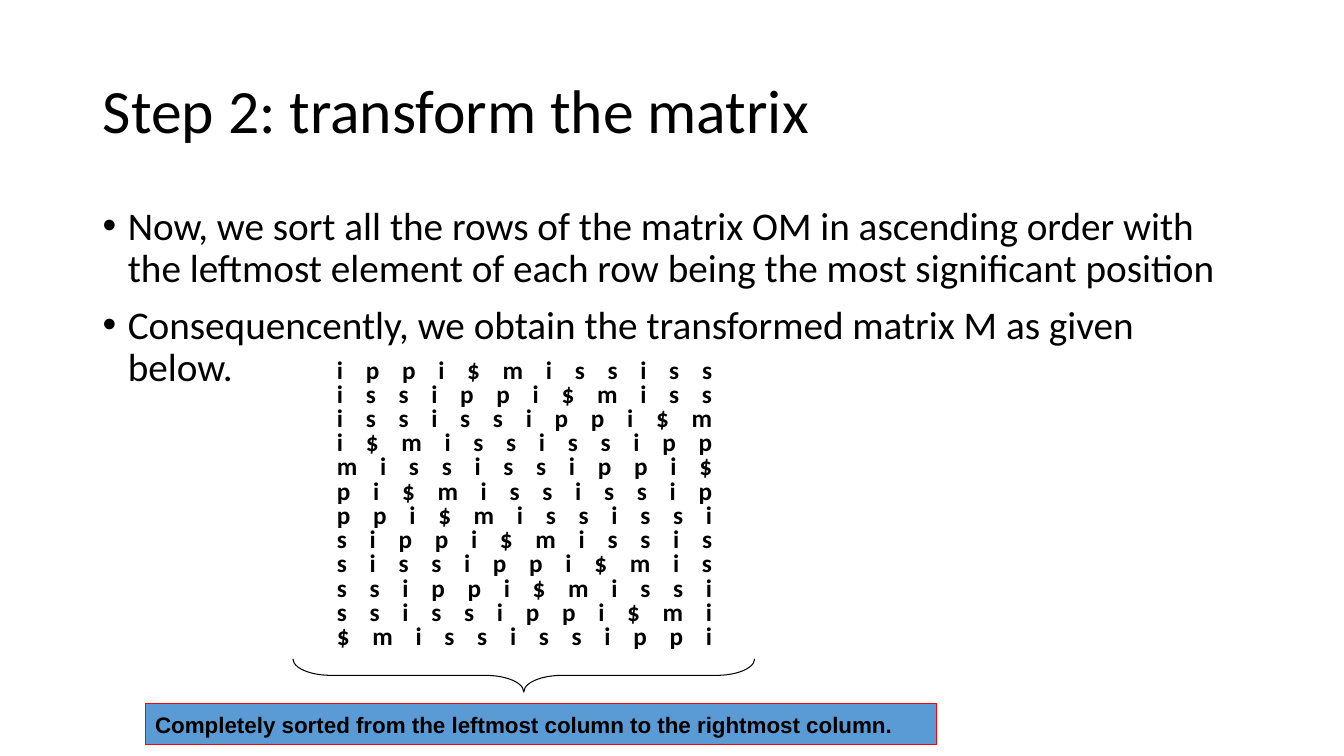
"""Build the slide that shows the sorted rotation matrix."""
import pptx
import pptx.dml.color
import pptx.enum.shapes
import pptx.enum.text
import pptx.oxml.ns
import pptx.util
from lxml import etree

Inches = pptx.util.Inches
Pt = pptx.util.Pt
Align = pptx.enum.text.PP_ALIGN
Anchor = pptx.enum.text.MSO_ANCHOR
Shape = pptx.enum.shapes.MSO_SHAPE

BLACK = pptx.dml.color.RGBColor(0x00, 0x00, 0x00)
BLUE = pptx.dml.color.RGBColor(0x5B, 0x9B, 0xD5)
RED = pptx.dml.color.RGBColor(0xFF, 0x00, 0x00)

WORD = "mississippi$"
BULLETS = [
    "Now, we sort all the rows of the matrix OM in ascending order with the leftmost "
    "element of each row being the most significant position",
    "Consequencently, we obtain the transformed matrix M as given below.",
]


class SlideBuilder:
    def __init__(self, presentation):
        self.slide = presentation.slides.add_slide(presentation.slide_layouts[5])
        self.shapes = self.slide.shapes

    def set_text(self, shape, lines, size, font="Calibri", bold=False,
                 align=Align.LEFT, anchor=Anchor.TOP, spacing=1.0):
        frame = shape.text_frame
        frame.text = "\n".join(lines)
        frame.word_wrap = True
        frame.auto_size = pptx.enum.text.MSO_AUTO_SIZE.NONE
        frame.vertical_anchor = anchor
        for paragraph in frame.paragraphs:
            paragraph.alignment = align
            paragraph.line_spacing = spacing
            paragraph.font.name = font
            paragraph.font.size = Pt(size)
            paragraph.font.bold = bold
            paragraph.font.color.rgb = BLACK
        return frame.paragraphs

    def title(self, text, left, top, width, height):
        title = self.shapes.title
        title.left, title.top = Inches(left), Inches(top)
        title.width, title.height = Inches(width), Inches(height)
        self.set_text(title, [text], 44, anchor=Anchor.MIDDLE, spacing=0.9)

    def text_box(self, left, top, width, height):
        return self.shapes.add_textbox(
            Inches(left), Inches(top), Inches(width), Inches(height))

    def bullets(self, lines, *place):
        for paragraph in self.set_text(self.text_box(*place), lines, 28, spacing=0.9):
            paragraph.space_before = Pt(10)
            properties = paragraph._p.get_or_add_pPr()
            properties.set("marL", str(Inches(0.25)))
            properties.set("indent", str(Inches(-0.25)))
            for tag, key, value in (("a:buFont", "typeface", "Arial"),
                                    ("a:buChar", "char", "•")):
                mark = etree.SubElement(properties, pptx.oxml.ns.qn(tag))
                mark.set(key, value)
                properties.insert_element_before(mark, "a:tabLst", "a:defRPr", "a:extLst")

    def matrix(self, rows, *place):
        lines = [" ".join(row) for row in rows]
        for paragraph in self.set_text(self.text_box(*place), lines, 18, bold=True,
                                       align=Align.CENTER, spacing=0.8):
            for run in paragraph.runs:
                run._r.get_or_add_rPr().set("spc", "610")

    def outline(self, kind, left, top, width, height, line, fill=None):
        shape = self.shapes.add_shape(
            kind, Inches(left), Inches(top), Inches(width), Inches(height))
        shape.shadow.inherit = False
        shape.line.color.rgb = line
        shape.line.width = Pt(0.75)
        if fill is None:
            shape.fill.background()
        else:
            shape.fill.solid()
            shape.fill.fore_color.rgb = fill
        return shape

    def brace_below(self, *place):
        brace = self.outline(Shape.LEFT_BRACE, *place, line=BLACK)
        brace.adjustments[0] = 1.15
        brace.rotation = 270

    def caption(self, text, *place):
        box = self.outline(Shape.RECTANGLE, *place, line=RED, fill=BLUE)
        self.set_text(box, [text], 16, font="Arial", bold=True, anchor=Anchor.MIDDLE)


def sorted_rotations(word):
    rotations = [word[start:] + word[:start] for start in range(len(word))]
    return sorted(rotations, key=lambda row: row.replace("$", "~"))


presentation = pptx.Presentation()
presentation.slide_width = Inches(13.33)
presentation.slide_height = Inches(7.5)

builder = SlideBuilder(presentation)
builder.title("Step 2: transform the matrix", 0.92, 0.4, 11.5, 1.45)
builder.bullets(BULLETS, 0.92, 2, 11.5, 4.76)
builder.matrix(sorted_rotations(WORD), 1.87, 3.52, 6.67, 3.25)
builder.brace_below(5.03, 4.41, 0.33, 4.58)
builder.caption("Completely sorted from the leftmost column to the rightmost column.",
                1.44, 6.98, 7.85, 0.41)

presentation.save("out.pptx")
